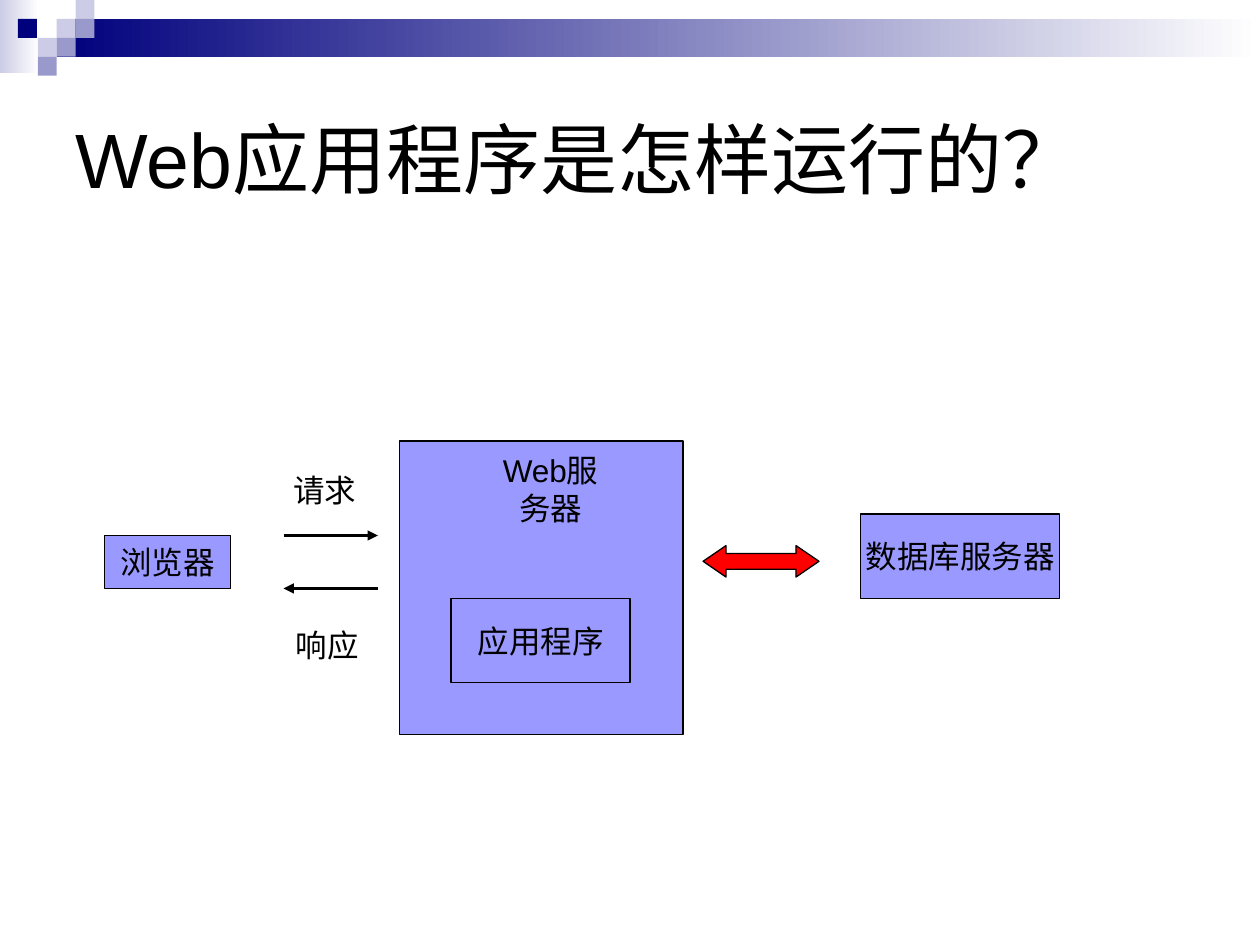
"""Build a slide that shows how a web application runs."""
from lxml import etree
from pptx import Presentation
from pptx import util as u
from pptx.dml.color import RGBColor
from pptx.enum import shapes, text
from pptx.oxml import ns

BLACK = RGBColor(0x00, 0x00, 0x00)
WHITE = RGBColor(0xFF, 0xFF, 0xFF)
NAVY = RGBColor(0x00, 0x00, 0x7D)
LILAC = RGBColor(0xCC, 0xCC, 0xE6)
MAUVE = RGBColor(0x99, 0x99, 0xCC)
PERIWINKLE = RGBColor(0x99, 0x99, 0xFF)
RED = RGBColor(0xFF, 0x00, 0x00)


class Diagram:
    font = "Arial"
    body_size = 18
    title_size = 44

    def __init__(self, slide):
        self.slide = slide

    def set_words(self, frame, words, size, align, anchor):
        frame.text = words
        frame.vertical_anchor = anchor
        paragraph = frame.paragraphs[0]
        paragraph.alignment = align
        for run in paragraph.runs:
            run.font.name = self.font
            run.font.size = u.Pt(size)
            run.font.color.rgb = BLACK

    def title(self, words, left, top, width, height):
        holder = self.slide.shapes.title
        holder.left, holder.top = u.Inches(left), u.Inches(top)
        holder.width, holder.height = u.Inches(width), u.Inches(height)
        holder.text_frame.auto_size = text.MSO_AUTO_SIZE.NONE
        self.set_words(holder.text_frame, words, self.title_size,
                       text.PP_ALIGN.LEFT, text.MSO_ANCHOR.MIDDLE)

    def shape(self, left, top, width, height, color, outlined=False,
              kind=shapes.MSO_SHAPE.RECTANGLE):
        shape = self.slide.shapes.add_shape(
            kind, u.Inches(left), u.Inches(top), u.Inches(width), u.Inches(height))
        shape.shadow.inherit = False
        shape.fill.solid()
        shape.fill.fore_color.rgb = color
        if outlined:
            shape.line.color.rgb = BLACK
            shape.line.width = u.Pt(0.75)
        else:
            shape.line.fill.background()
        return shape

    def fade(self, left, top, width, height, color):
        band = self.shape(left, top, width, height, color)
        band.fill.gradient()
        band.fill.gradient_angle = 0
        for stop, shade in zip(band.fill.gradient_stops, (color, WHITE)):
            stop.color.rgb = shade

    def box(self, words, left, top, width, height):
        box = self.shape(left, top, width, height, PERIWINKLE, outlined=True)
        if words:
            box.text_frame.word_wrap = False
            self.set_words(box.text_frame, words, self.body_size,
                           text.PP_ALIGN.CENTER, text.MSO_ANCHOR.MIDDLE)

    def label(self, words, left, top, width, height,
              align=text.PP_ALIGN.LEFT, anchor=text.MSO_ANCHOR.TOP):
        label = self.slide.shapes.add_textbox(
            u.Inches(left), u.Inches(top), u.Inches(width), u.Inches(height))
        label.text_frame.word_wrap = False
        self.set_words(label.text_frame, words, self.body_size, align, anchor)

    def arrow(self, start, end, y):
        arrow = self.slide.shapes.add_connector(
            shapes.MSO_CONNECTOR.STRAIGHT,
            u.Inches(start), u.Inches(y), u.Inches(end), u.Inches(y))
        arrow.line.color.rgb = BLACK
        arrow.line.width = u.Pt(1.5)
        properties = arrow._element.spPr
        outline = properties.find(ns.qn("a:ln"))
        etree.SubElement(outline, ns.qn("a:tailEnd"), type="triangle")
        etree.SubElement(properties, ns.qn("a:effectLst"))

    def double_arrow(self, left, top, width, height):
        arrow = self.shape(left, top, width, height, RED, outlined=True,
                           kind=shapes.MSO_SHAPE.LEFT_RIGHT_ARROW)
        arrow.adjustments[0] = 0.5
        arrow.adjustments[1] = 0.73


def main():
    deck = Presentation()
    deck.slide_width, deck.slide_height = u.Inches(10), u.Inches(7.5)
    diagram = Diagram(deck.slides.add_slide(deck.slide_layouts[5]))

    diagram.fade(0, 0, 0.31, 0.58, LILAC)
    diagram.fade(0.45, 0.15, 9.55, 0.3, NAVY)
    tile = 0.15
    for column, row, color in (
            (3, 1, LILAC), (4, 0, LILAC), (4, 1, MAUVE), (2, 2, LILAC),
            (0.95, 1, NAVY), (3, 2, MAUVE), (2, 3, MAUVE)):
        diagram.shape(column * tile, row * tile, tile, tile, color)

    diagram.title("Web应用程序是怎样运行的？", 0.5, 0.5, 9, 1.5)

    diagram.box("浏览器", 0.83, 4.25, 1, 0.42)
    diagram.box("数据库服务器", 6.83, 4.08, 1.58, 0.67)
    diagram.double_arrow(5.58, 4.33, 0.92, 0.25)
    diagram.box("", 3.17, 3.5, 2.25, 2.33)
    diagram.label("Web服务器", 3.83, 3.67, 1.08, 0.42,
                  text.PP_ALIGN.CENTER, text.MSO_ANCHOR.MIDDLE)
    diagram.arrow(2.25, 3, 4.25)
    diagram.arrow(3, 2.25, 4.67)
    diagram.label("请求", 2.23, 3.69, 0.7, 0.4)
    diagram.label("响应", 2.25, 4.92, 0.7, 0.4)
    diagram.box("应用程序", 3.58, 4.75, 1.42, 0.67)

    deck.save("out.pptx")


if __name__ == "__main__":
    main()
